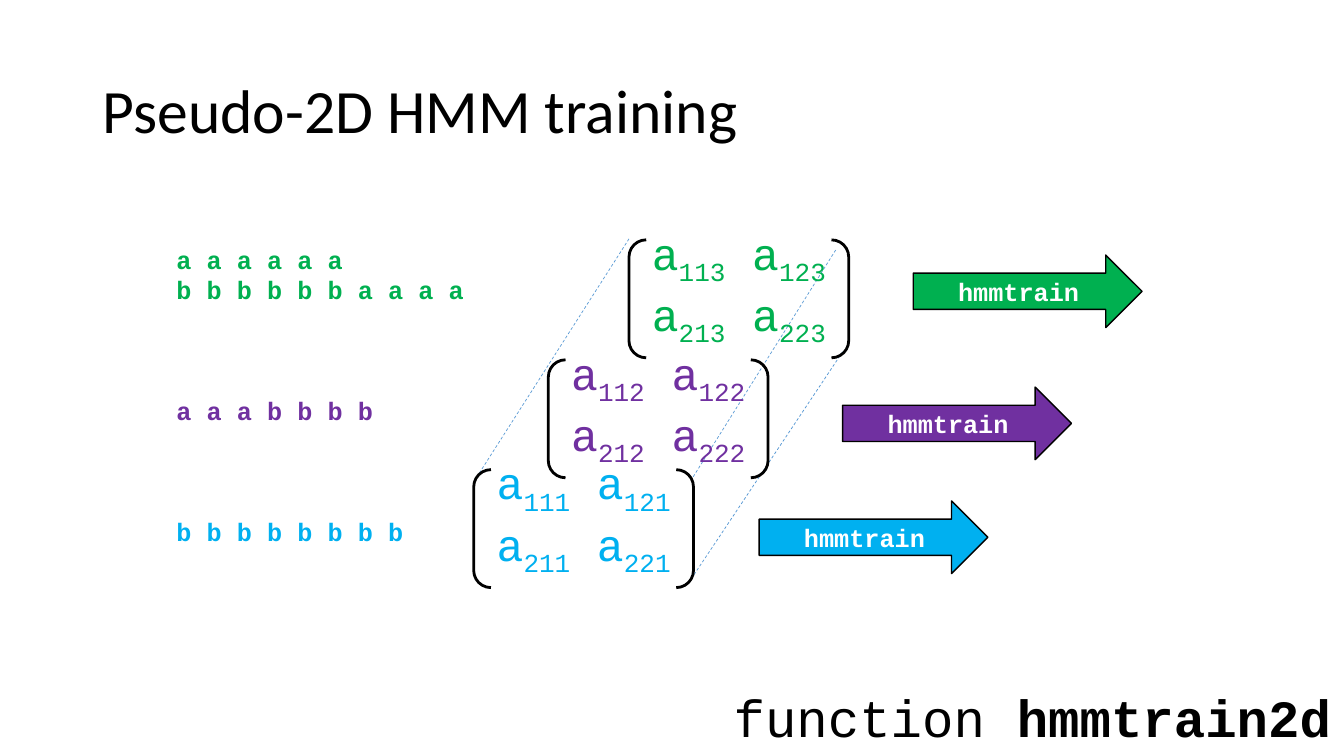
"""Build the slide on training a pseudo-2D hidden Markov model."""
from dataclasses import dataclass

import pptx
import pptx.dml.color
import pptx.enum.dml
import pptx.enum.shapes
import pptx.enum.text
import pptx.oxml
import pptx.oxml.ns
import pptx.util

RGBColor = pptx.dml.color.RGBColor
MSO_SHAPE = pptx.enum.shapes.MSO_SHAPE
MSO_ANCHOR = pptx.enum.text.MSO_ANCHOR
PP_ALIGN = pptx.enum.text.PP_ALIGN

GREEN = RGBColor(0x00, 0xB0, 0x50)
PURPLE = RGBColor(0x70, 0x30, 0xA0)
CYAN = RGBColor(0x00, 0xB0, 0xF0)
BLUE = RGBColor(0x5B, 0x9B, 0xD5)
BLACK = RGBColor(0x00, 0x00, 0x00)
WHITE = RGBColor(0xFF, 0xFF, 0xFF)

MONO = "Courier New"
SANS = "Calibri"
SLIDE_W = pptx.util.Inches(13.33)
SLIDE_H = pptx.util.Inches(7.5)
COLUMNS = ROWS = 100
MATRIX_SIZE = (16.35, 15.6)
ARROW_SIZE = (17.02, 9.6)
SEQUENCE_PITCH = 21.6


@dataclass(frozen=True)
class Layer:
    """One state's sequences, transition matrix and training arrow."""
    index: int
    color: RGBColor
    sequences: tuple[str, ...]
    matrix_at: tuple[float, float]
    arrow_at: tuple[float, float]


@dataclass(frozen=True)
class Guide:
    """A dashed edge between the front and back matrices."""
    start: tuple[float, float]
    end: tuple[float, float]


LAYERS = (
    Layer(3, GREEN, ("a a a a a a", "b b b b b b a a a a"), (46.8, 31.73), (67.95, 33.73)),
    Layer(2, PURPLE, ("a a a b b b b",), (40.8, 47.6), (62.7, 51.2)),
    Layer(1, CYAN, ("b b b b b b b b",), (35.25, 62.13), (56.48, 66.27)),
)
GUIDES = (
    Guide((46.8, 31.6), (35.25, 63.73)),
    Guide((62.18, 33.07), (51.53, 63.2)),
    Guide((62.7, 46.53), (51.6, 76.13)),
)


def place(col: float, row: float) -> tuple[int, int]:
    """Turn grid columns and rows into slide lengths."""
    return round(SLIDE_W * col / COLUMNS), round(SLIDE_H * row / ROWS)


def style(r, size: float, color: RGBColor, name: str = MONO, bold: bool = False) -> None:
    """Set the font of a run."""
    r.font.name = name
    r.font.size = pptx.util.Pt(size)
    r.font.bold = bold
    r.font.color.rgb = color


def add_text(s, at: tuple[float, float], size: tuple[float, float], anchor: MSO_ANCHOR):
    """Add a wrapping text box and return its text frame."""
    tf = s.shapes.add_textbox(*place(*at), *place(*size)).text_frame
    tf.word_wrap = True
    tf.vertical_anchor = anchor
    return tf


def add_outlined(s, kind: MSO_SHAPE, at: tuple[float, float], size: tuple[float, float], width: float):
    """Add a black-outlined preset shape without a shadow."""
    sp = s.shapes.add_shape(kind, *place(*at), *place(*size))
    sp.shadow.inherit = False
    sp.line.color.rgb = BLACK
    sp.line.width = pptx.util.Pt(width)
    return sp


def add_sequences(s) -> None:
    """List the training sequences, with a gap between layers."""
    tf = add_text(s, (12.38, 31.6), (24.15, 41.73), MSO_ANCHOR.TOP)
    p = tf.paragraphs[0]
    for layer in LAYERS:
        for i, sequence in enumerate(layer.sequences):
            if layer is not LAYERS[0] or i > 0:
                p = tf.add_paragraph()
                p.space_before = pptx.util.Pt(0 if i else 3 * SEQUENCE_PITCH)
            p.text = sequence
            p.line_spacing = pptx.util.Pt(SEQUENCE_PITCH)
            style(p.runs[0], 18, layer.color, bold=True)


def add_matrix(s, layer: Layer) -> None:
    """Draw a bracketed two-by-two matrix of transition terms."""
    sp = add_outlined(s, MSO_SHAPE.DOUBLE_BRACKET, layer.matrix_at, MATRIX_SIZE, 2)
    sp.adjustments[0] = 0.146
    sp.fill.background()
    tf = sp.text_frame
    tf.vertical_anchor = MSO_ANCHOR.BOTTOM
    for row in (1, 2):
        p = tf.paragraphs[0] if row == 1 else tf.add_paragraph()
        p.alignment = PP_ALIGN.CENTER
        for col, letter in ((1, "a"), (2, " a")):
            for text, offset in ((letter, 0), (f"{row}{col}{layer.index}", -25000)):
                r = p.add_run()
                r.text = text
                style(r, 32, layer.color)
                r.font._element.set("baseline", str(offset))


def add_arrow(s, layer: Layer) -> None:
    """Draw the training arrow of a layer."""
    sp = add_outlined(s, MSO_SHAPE.RIGHT_ARROW, layer.arrow_at, ARROW_SIZE, 1)
    sp.fill.solid()
    sp.fill.fore_color.rgb = layer.color
    tf = sp.text_frame
    tf.text = "hmmtrain"
    tf.vertical_anchor = MSO_ANCHOR.MIDDLE
    tf.paragraphs[0].alignment = PP_ALIGN.CENTER
    style(tf.paragraphs[0].runs[0], 18, WHITE, bold=True)


def add_guide(s, guide: Guide) -> None:
    """Draw a dashed edge."""
    line = s.shapes.add_connector(
        pptx.enum.shapes.MSO_CONNECTOR.STRAIGHT, *place(*guide.start), *place(*guide.end))
    line.line.color.rgb = BLUE
    line.line.width = pptx.util.Pt(0.5)
    line.line.dash_style = pptx.enum.dml.MSO_LINE.DASH
    effects = pptx.oxml.parse_xml(f"<a:effectLst {pptx.oxml.ns.nsdecls('a')}/>")
    line._element.spPr.append(effects)


def add_heading(s) -> None:
    """Add the slide title."""
    p = add_text(s, (6.9, 5.33), (86.25, 19.33), MSO_ANCHOR.MIDDLE).paragraphs[0]
    p.text = "Pseudo-2D HMM training"
    p.line_spacing = 0.9
    style(p.runs[0], 44, BLACK, SANS)


def add_function_name(s) -> None:
    """Name the training function at the bottom right."""
    p = add_text(s, (53.85, 92.27), (46.15, 7.2), MSO_ANCHOR.MIDDLE).paragraphs[0]
    p.line_spacing = 0.7
    for text, bold in (("function ", False), ("hmmtrain2d", True)):
        r = p.add_run()
        r.text = text
        style(r, 37.4, BLACK, bold=bold)


def main() -> None:
    """Build and save the slide."""
    prs = pptx.Presentation()
    prs.slide_width, prs.slide_height = SLIDE_W, SLIDE_H
    s = prs.slides.add_slide(prs.slide_layouts[6])
    add_heading(s)
    add_sequences(s)
    for guide in GUIDES:
        add_guide(s, guide)
    for layer in reversed(LAYERS):
        add_matrix(s, layer)
    for layer in LAYERS:
        add_arrow(s, layer)
    add_function_name(s)
    prs.save("out.pptx")


if __name__ == "__main__":
    main()
